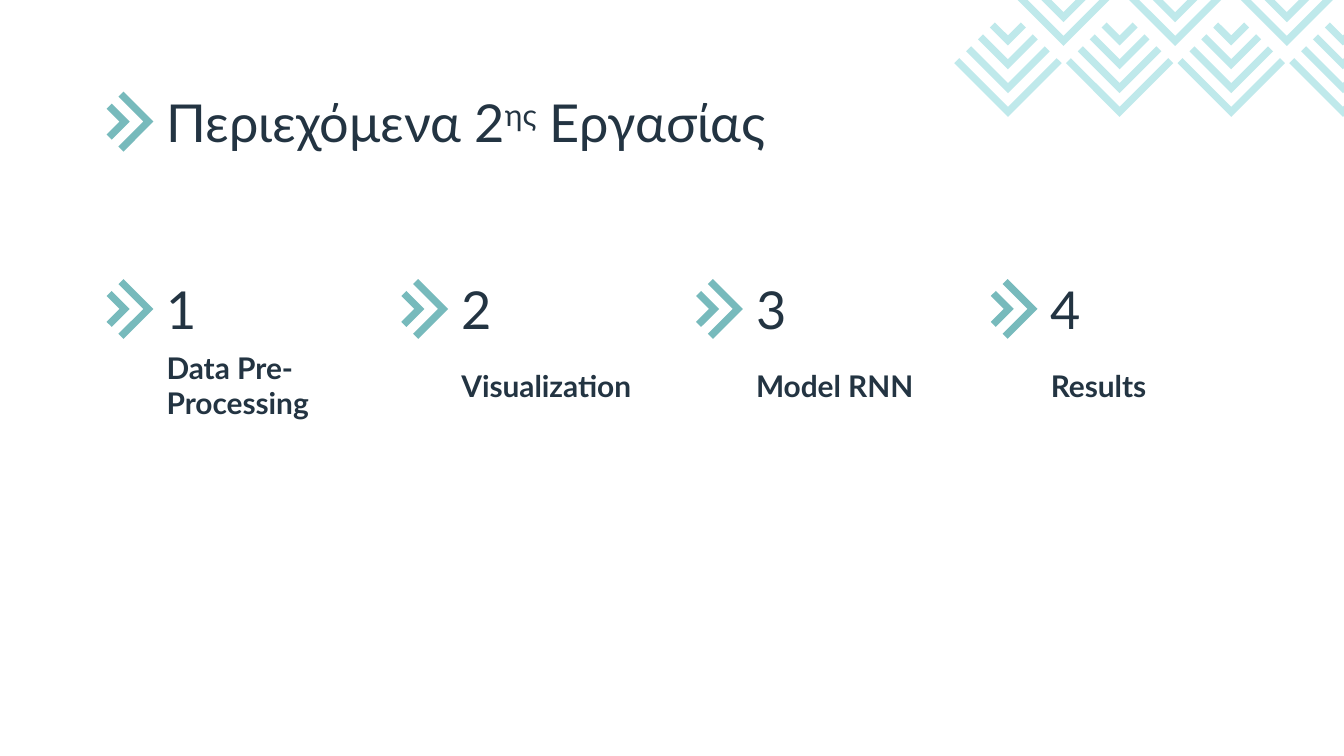
from dataclasses import dataclass

from pptx import Presentation
from pptx.dml.color import RGBColor
from pptx.enum import text
from pptx.util import Cm, Pt


@dataclass(frozen=True)
class Theme:
    ink: str = "233442"
    accent: str = "77BABC"
    pattern: str = "BFE9EB"
    font: str = "Lato"
    heading: int = 28
    label: int = 16


@dataclass(frozen=True)
class Span:
    words: str
    raised: bool = False


@dataclass(frozen=True)
class Area:
    """A rectangle in centimetres."""
    left: float
    top: float
    width: float
    height: float


@dataclass(frozen=True)
class PatternRow:
    first_x: float
    columns: int
    tip_y: float
    levels: tuple[int, ...]


THEME = Theme()
TOPICS = ("Data Pre-Processing", "Visualization", "Model RNN", "Results")
TOPIC_LEFT, TOPIC_PITCH = 2.9, 5.57

# Chevrons nest: each level is wider, and its tip lies one step further out.
STROKE = 0.095
SMALLEST_HALF = 0.34
TIP_STEP = 0.45

PATTERN_PITCH = 2.11
PATTERN_ROWS = (
    PatternRow(19.05, 4, 2.21, (3, 2, 1, 0)),
    PatternRow(20.1, 3, 0.87, (3, 2)),
)


def add_chevrons(page, tip_x: float, tip_y: float, levels: tuple[int, ...],
                 color: str, pointing_right: bool = False) -> None:
    """Group nested chevrons; the outermost tip is at the given point."""
    group = page.shapes.add_group_shape()
    for order, level in enumerate(levels):
        half = SMALLEST_HALF + level * TIP_STEP / 2
        back = order * TIP_STEP
        # Pairs of distance across the axis and distance behind the tip
        outline = [(0, 0), (half, half), (half - STROKE, half + STROKE),
                   (0, 2 * STROKE), (STROKE - half, half + STROKE), (-half, half)]
        points = [
            (Cm(tip_x - back - behind), Cm(tip_y + across)) if pointing_right
            else (Cm(tip_x + across), Cm(tip_y - back - behind))
            for across, behind in outline
        ]
        builder = group.shapes.build_freeform(*points[0])
        builder.add_line_segments(points[1:], close=True)
        chevron = builder.convert_to_shape()
        chevron.shadow.inherit = False
        chevron.fill.solid()
        chevron.fill.fore_color.rgb = RGBColor.from_string(color)
        chevron.line.fill.background()


def add_text(page, area: Area, *spans: Span, size: int, bold: bool = False) -> None:
    box = page.shapes.add_textbox(Cm(area.left), Cm(area.top),
                                  Cm(area.width), Cm(area.height))
    frame = box.text_frame
    frame.word_wrap = True
    frame.vertical_anchor = text.MSO_ANCHOR.MIDDLE
    frame.margin_left = frame.margin_right = Cm(0.25)
    frame.margin_top = frame.margin_bottom = Cm(0.25)
    para = frame.paragraphs[0]
    for span in spans:
        run = para.add_run()
        run.text = span.words
        run.font.name = THEME.font
        run.font.size = Pt(size)
        run.font.bold = bold
        run.font.color.rgb = RGBColor.from_string(THEME.ink)
        if span.raised:
            run._r.get_or_add_rPr().set("baseline", "30000")


def add_pattern(page) -> None:
    for row in PATTERN_ROWS:
        for column in range(row.columns):
            add_chevrons(page, row.first_x + column * PATTERN_PITCH, row.tip_y,
                         row.levels, THEME.pattern)


def add_heading(page, area: Area, *spans: Span) -> None:
    """Add large text with a double chevron at its left."""
    add_chevrons(page, area.left, area.top + area.height / 2, (1, 0),
                 THEME.accent, pointing_right=True)
    add_text(page, area, *spans, size=THEME.heading)


def main() -> None:
    deck = Presentation()
    deck.slide_width, deck.slide_height = Cm(25.4), Cm(14.29)
    page = deck.slides.add_slide(deck.slide_layouts[6])

    add_pattern(page)
    add_heading(page, Area(TOPIC_LEFT, 1.5, 20.68, 1.6),
                Span("Περιεχόμενα 2"), Span("ης", raised=True), Span(" Εργασίας"))
    for index, topic in enumerate(TOPICS):
        left = TOPIC_LEFT + index * TOPIC_PITCH
        add_heading(page, Area(left, 5.28, 4.19, 1.12), Span(str(index + 1)))
        add_text(page, Area(left, 6.43, 4.19, 1.7), Span(topic),
                 size=THEME.label, bold=True)

    deck.save("out.pptx")


if __name__ == "__main__":
    main()
